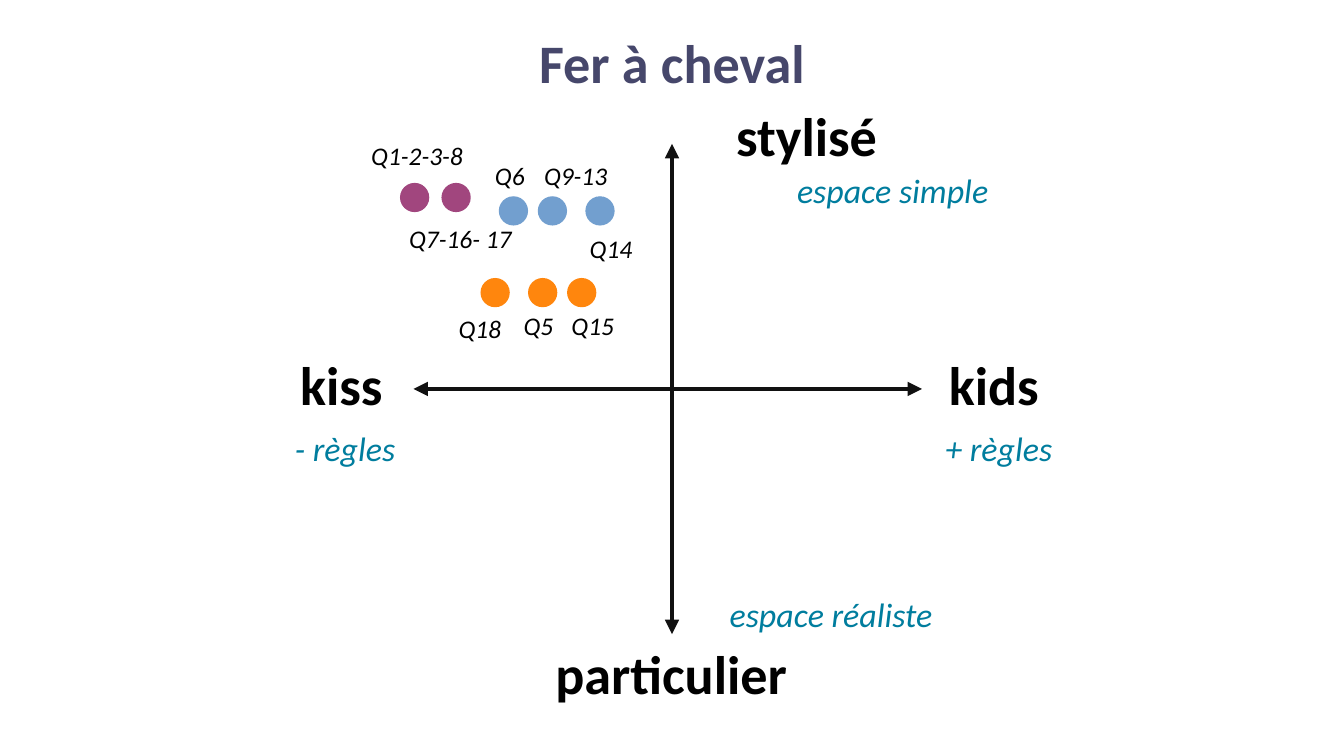
"""Build the "Fer à cheval" quadrant slide: two axes, their captions and coloured question dots."""
from dataclasses import dataclass

from lxml import etree
from pptx import Presentation
from pptx import util as u
from pptx.dml.color import RGBColor
from pptx.enum import shapes, text
from pptx.oxml.ns import qn
from pptx.slide import Slide
from pptx.text.text import TextFrame

EMU_PER_PX = 9144
WIDTH, HEIGHT = 1102, 620
CENTRE_X, CENTRE_Y = 551, 319
DOT_SIZE = 24
FONT = "Calibri"
NAVY, BLACK, TEAL, AXIS = "46476B", "000000", "007D9E", "111111"
PURPLE, BLUE, ORANGE = "A1467E", "729FCF", "FF860D"


@dataclass(frozen=True)
class Style:
    size: int
    color: str
    bold: bool = False
    italic: bool = False
    wrap: bool = True


@dataclass(frozen=True)
class Label:
    words: str
    left: int
    top: int
    width: int
    height: int
    style: Style


@dataclass(frozen=True)
class DotRow:
    color: str
    top: int
    lefts: tuple[int, ...]


@dataclass(frozen=True)
class Axis:
    start: tuple[int, int]
    end: tuple[int, int]


TITLE = Style(32, NAVY, bold=True)
POLE = Style(32, BLACK, bold=True)
HINT = Style(20, TEAL, italic=True)
QUESTION = Style(15, BLACK, italic=True, wrap=False)

AXES = (
    Axis((CENTRE_X, 118), (CENTRE_X, 520)),
    Axis((756, CENTRE_Y), (339, CENTRE_Y)),
)
LABELS = (
    Label("kiss", 205, 283, 150, 71, POLE),
    Label("kids", 740, 283, 150, 71, POLE),
    Label("particulier", 409, 520, 283, 71, POLE),
    Label("stylisé", 520, 79, 283, 71, POLE),
    Label("espace simple", 606, 134, 252, 48, HINT),
    Label("+ règles", 693, 346, 252, 48, HINT),
    Label("- règles", 157, 346, 252, 48, HINT),
    Label("espace réaliste", 520, 482, 323, 48, HINT),
    Label("Q1-2-3-8", 289, 110, 106, 38, QUESTION),
    Label("Q7-16- 17", 322, 178, 111, 38, QUESTION),
    Label("Q6", 394, 126, 48, 38, QUESTION),
    Label("Q9-13", 433, 126, 78, 38, QUESTION),
    Label("Q14", 472, 186, 58, 38, QUESTION),
    Label("Q18", 362, 252, 63, 38, QUESTION),
    Label("Q5", 418, 249, 47, 38, QUESTION),
    Label("Q15", 457, 249, 58, 38, QUESTION),
)
DOT_ROWS = (
    DotRow(PURPLE, 150, (328, 362)),
    DotRow(BLUE, 161, (409, 441, 480)),
    DotRow(ORANGE, 228, (394, 433, 465)),
)


def px(*lengths: int) -> list[u.Emu]:
    """Turn px lengths into EMU."""
    return [u.Emu(length * EMU_PER_PX) for length in lengths]


def rgb(color: str) -> RGBColor:
    """Turn a hex string into a colour."""
    return RGBColor.from_string(color)


def write(frame: TextFrame, words: str, style: Style) -> None:
    """Write one centred run in the given style."""
    frame.word_wrap = style.wrap
    frame.auto_size = text.MSO_AUTO_SIZE.NONE
    paragraph = frame.paragraphs[0]
    paragraph.alignment = text.PP_ALIGN.CENTER
    run = paragraph.add_run()
    run.text = words
    run.font.name = FONT
    run.font.size = u.Pt(style.size)
    run.font.bold = style.bold
    run.font.italic = style.italic
    run.font.color.rgb = rgb(style.color)


def draw_title(slide: Slide, words: str) -> None:
    """Place and fill the title placeholder."""
    title = slide.shapes.title
    title.left, title.top, title.width, title.height = px(0, 16, WIDTH, 70)
    frame = title.text_frame
    frame.margin_left = frame.margin_right = frame.margin_top = frame.margin_bottom = 0
    frame.vertical_anchor = text.MSO_ANCHOR.MIDDLE
    write(frame, words, TITLE)


def draw_axis(slide: Slide, axis: Axis) -> None:
    """Draw a line with an arrowhead at both ends."""
    connector = slide.shapes.add_connector(
        shapes.MSO_CONNECTOR.STRAIGHT, *px(*axis.start, *axis.end))
    connector.line.color.rgb = rgb(AXIS)
    connector.line.width = u.Pt(2.83)
    properties = connector.element.spPr
    outline = properties.find(qn("a:ln"))
    for tag in ("a:headEnd", "a:tailEnd"):
        etree.SubElement(outline, qn(tag), type="triangle")
    etree.SubElement(properties, qn("a:effectLst"))


def draw_label(slide: Slide, label: Label) -> None:
    """Draw a text box."""
    box = slide.shapes.add_textbox(*px(label.left, label.top, label.width, label.height))
    write(box.text_frame, label.words, label.style)


def draw_dots(slide: Slide, row: DotRow) -> None:
    """Draw a row of dots in one colour."""
    for left in row.lefts:
        dot = slide.shapes.add_shape(
            shapes.MSO_SHAPE.OVAL, *px(left, row.top, DOT_SIZE, DOT_SIZE))
        dot.shadow.inherit = False
        dot.fill.solid()
        dot.fill.fore_color.rgb = rgb(row.color)
        dot.line.fill.background()


def main() -> None:
    """Build and save the slide."""
    presentation = Presentation()
    presentation.slide_width, presentation.slide_height = px(WIDTH, HEIGHT)
    slide = presentation.slides.add_slide(presentation.slide_layouts[5])
    draw_title(slide, "Fer à cheval")
    for axis in AXES:
        draw_axis(slide, axis)
    for row in DOT_ROWS:
        draw_dots(slide, row)
    for label in LABELS:
        draw_label(slide, label)
    presentation.save("out.pptx")


if __name__ == "__main__":
    main()
